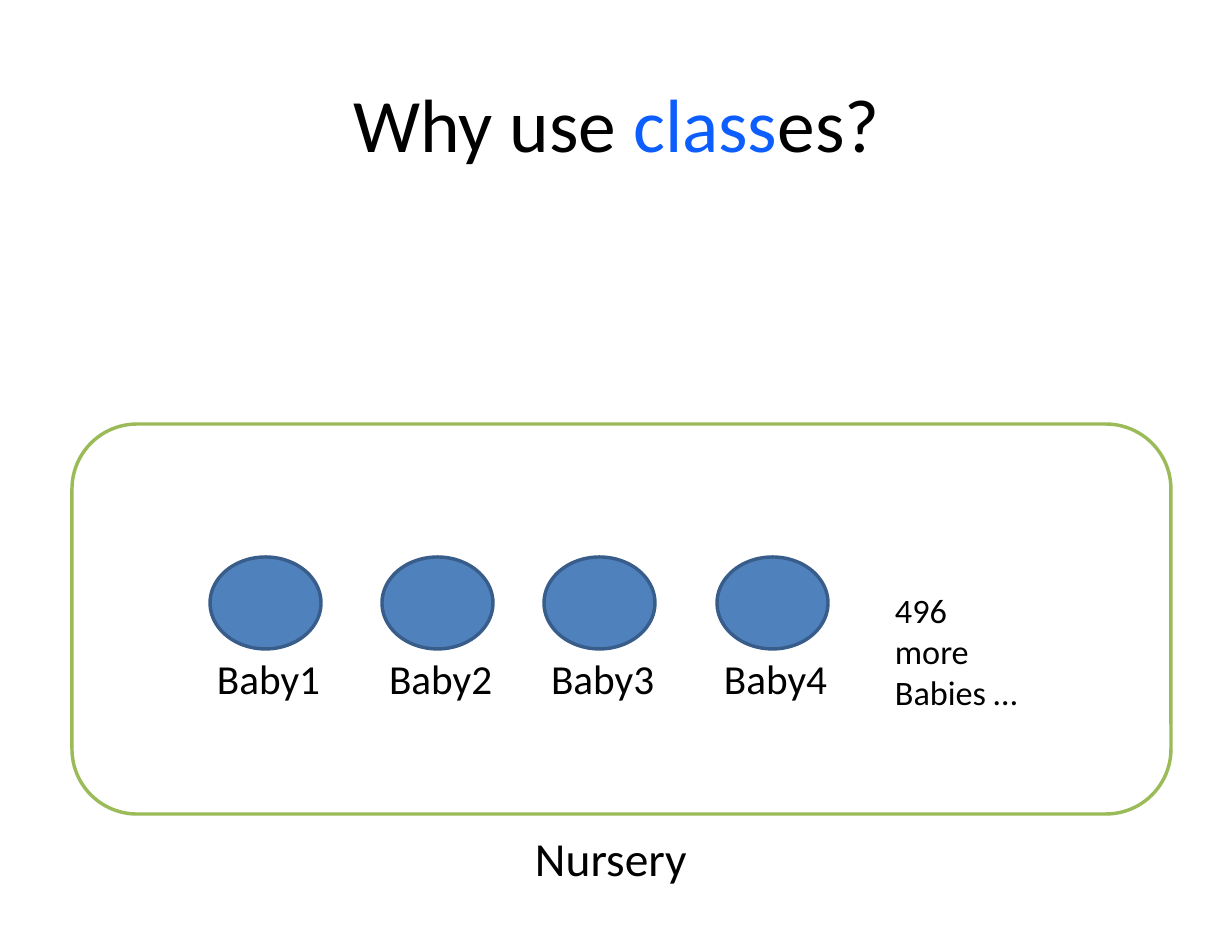
from dataclasses import dataclass

from pptx import Presentation
from pptx.dml.color import RGBColor
from pptx.enum.shapes import MSO_SHAPE
from pptx.util import Emu, Pt

OVAL = MSO_SHAPE.OVAL
ROUNDED = MSO_SHAPE.ROUNDED_RECTANGLE

EMU_PER_PX = 914400 / 112
FONT = "Calibri"
LINE_WIDTH = Pt(2.2)
COLORS = {
    "text": "000000",
    "keyword": "0D5EFF",
    "nursery": "9BBB59",
    "baby": "4F81BD",
    "baby_edge": "385D8A",
}


@dataclass(frozen=True)
class Box:
    left: int
    top: int
    width: int
    height: int


@dataclass(frozen=True)
class Baby:
    name: str
    left: int


BABIES = [
    Baby("Baby1", 210),
    Baby("Baby2", 382),
    Baby("Baby3", 544),
    Baby("Baby4", 717),
]


def px(length: int) -> Emu:
    return Emu(round(length * EMU_PER_PX))


def color(name: str) -> RGBColor:
    return RGBColor.from_string(COLORS[name])


def place(box: Box) -> tuple:
    return px(box.left), px(box.top), px(box.width), px(box.height)


def add_text(slide, box: Box, size: float, *parts: tuple[str, str]):
    frame = slide.shapes.add_textbox(*place(box)).text_frame
    frame.word_wrap = True
    frame.margin_left = frame.margin_right = 0
    frame.margin_top = frame.margin_bottom = 0
    paragraph = frame.paragraphs[0]
    paragraph.font.name = FONT
    paragraph.font.size = Pt(size)
    for text, tint in parts:
        run = paragraph.add_run()
        run.text = text
        run.font.color.rgb = color(tint)
    return paragraph


def add_outline(slide, kind, box: Box, edge: str):
    outline = slide.shapes.add_shape(kind, *place(box))
    outline.shadow.inherit = False
    outline.fill.background()
    outline.line.color.rgb = color(edge)
    outline.line.width = LINE_WIDTH
    return outline


def add_baby(slide, baby: Baby) -> None:
    head = add_outline(slide, OVAL, Box(baby.left, 557, 111, 92), "baby_edge")
    head.fill.solid()
    head.fill.fore_color.rgb = color("baby")
    add_text(slide, Box(baby.left + 7, 653, 108, 49), 26.5, (baby.name, "text"))


def main() -> None:
    deck = Presentation()
    deck.slide_width, deck.slide_height = px(1232), px(952)
    slide = deck.slides.add_slide(deck.slide_layouts[6])

    title = add_text(
        slide, Box(353, 78, 726, 88), 48.5,
        ("Why use ", "text"), ("class", "keyword"), ("es?", "text"),
    )
    title.line_spacing = Pt(57.7)

    add_outline(slide, ROUNDED, Box(72, 424, 1099, 390), "nursery")
    for baby in BABIES:
        add_baby(slide, baby)
    add_text(slide, Box(895, 589, 128, 126), 22, ("496 more Babies …", "text"))
    add_text(slide, Box(535, 829, 160, 57), 30.5, ("Nursery", "text"))

    deck.save("out.pptx")


if __name__ == "__main__":
    main()
